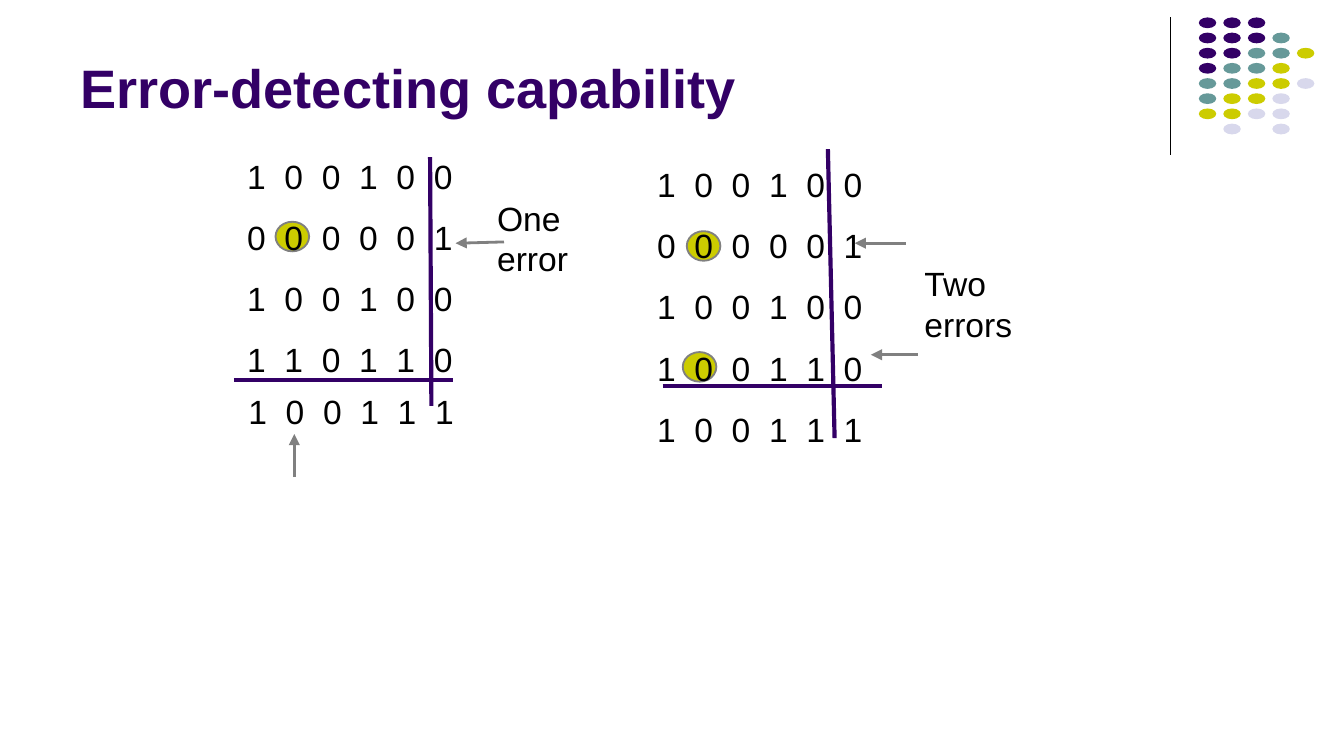
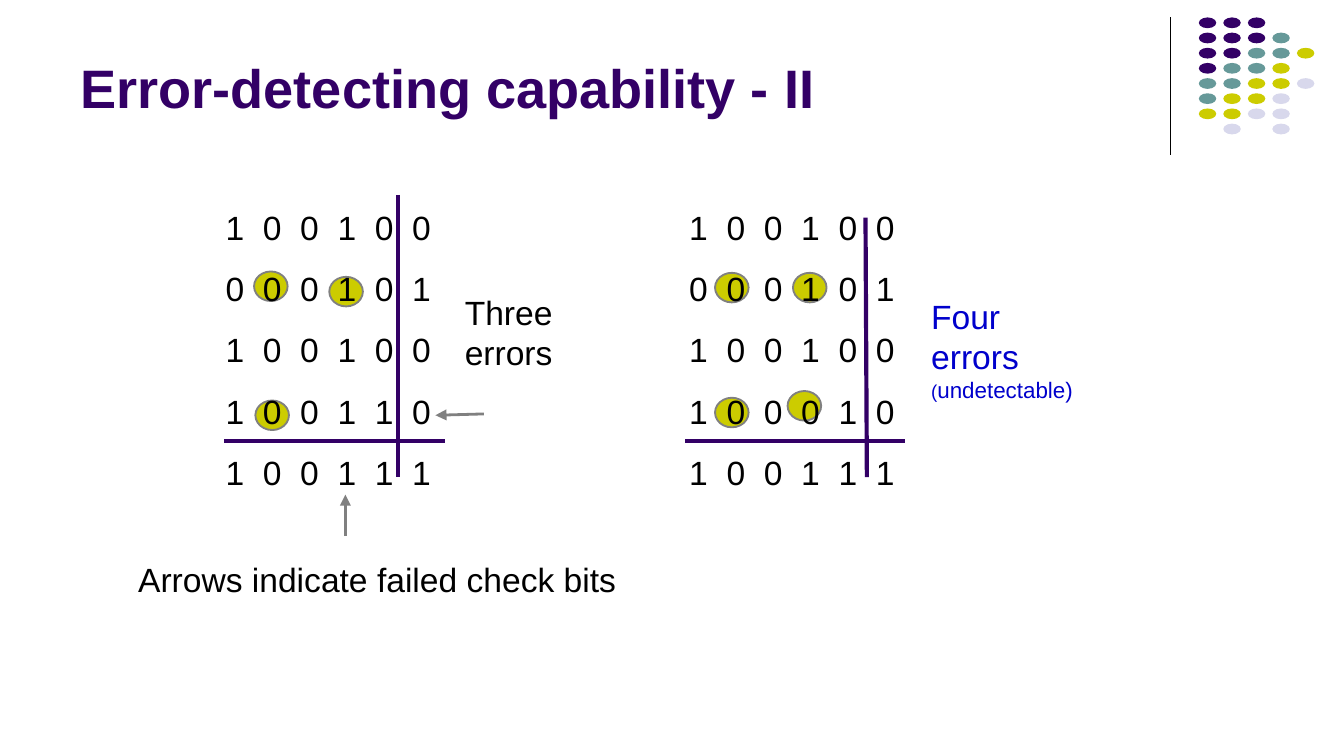
from dataclasses import dataclass

from pptx import Presentation
from pptx.dml.color import RGBColor
from pptx.enum.shapes import MSO_CONNECTOR, MSO_SHAPE
from pptx.enum.text import MSO_ANCHOR, MSO_AUTO_SIZE
from pptx.oxml.ns import qn
from pptx.oxml.xmlchemy import OxmlElement
from pptx.util import Inches, Pt

STRAIGHT = MSO_CONNECTOR.STRAIGHT
ELLIPSE = MSO_SHAPE.OVAL
BOTTOM = MSO_ANCHOR.BOTTOM
TOP = MSO_ANCHOR.TOP
FIT_TEXT = MSO_AUTO_SIZE.SHAPE_TO_FIT_TEXT
NO_FIT = MSO_AUTO_SIZE.NONE


@dataclass(frozen=True)
class Theme:
    font: str = "Arial"
    purple: str = "330066"
    teal: str = "669999"
    yellow: str = "CCCC00"
    lavender: str = "D8D8EC"
    gray: str = "808080"
    black: str = "000000"
    blue: str = "0000CC"
    title_size: float = 29
    body_size: float = 18
    note_size: float = 12
    bracket_size: float = 10
    row_gap: float = 11.2


THEME = Theme()
DOT_COLORS = {"P": THEME.purple, "T": THEME.teal, "Y": THEME.yellow, "L": THEME.lavender}
DOT_ROWS = ["PPP", "PPPT", "PPTTY", "PTTY", "TTYYL", "TYYL", "YYLL", " L L"]


def add_line(page, start, end, color, width, arrow=False):
    ends = [Inches(value) for value in (*start, *end)]
    connector = page.shapes.add_connector(STRAIGHT, *ends)
    connector.line.color.rgb = RGBColor.from_string(color)
    connector.line.width = Pt(width)
    properties = connector._element.spPr
    if arrow:
        head = OxmlElement("a:tailEnd")
        head.set("type", "triangle")
        properties.find(qn("a:ln")).append(head)
    properties.append(OxmlElement("a:effectLst"))


def add_arrow(page, start, end):
    add_line(page, start, end, THEME.gray, 1.5, arrow=True)


def add_ellipse(page, left, top, width, height, fill, outline=None):
    shape = page.shapes.add_shape(
        ELLIPSE, Inches(left), Inches(top), Inches(width), Inches(height))
    shape.shadow.inherit = False
    shape.fill.solid()
    shape.fill.fore_color.rgb = RGBColor.from_string(fill)
    if outline:
        shape.line.color.rgb = RGBColor.from_string(outline)
        shape.line.width = Pt(1)
    else:
        shape.line.fill.background()


def add_text(page, area, lines, color=THEME.black, size=THEME.body_size, bold=False,
             gap=0, wrap=True, anchor=TOP, fit=FIT_TEXT):
    box = page.shapes.add_textbox(*[Inches(value) for value in area])
    frame = box.text_frame
    frame.word_wrap = wrap
    frame.auto_size = fit
    frame.vertical_anchor = anchor
    for index, line in enumerate(lines):
        para = frame.paragraphs[0] if index == 0 else frame.add_paragraph()
        para.text = line
        para.space_before = Pt(gap)
        para.font.name = THEME.font
        para.font.size = Pt(size)
        para.font.bold = bold
        para.font.color.rgb = RGBColor.from_string(color)
    return frame


def add_bits(page, area, rows, wrap=True):
    lines = ["  ".join(row) for row in rows]
    add_text(page, area, lines, gap=THEME.row_gap, wrap=wrap)


def add_errors(page, corners):
    for left, top in corners:
        add_ellipse(page, left, top, 0.25, 0.22, THEME.yellow, THEME.gray)


def add_rules(page, column_rule, row_rule):
    for start, end in (column_rule, row_rule):
        add_line(page, start, end, THEME.purple, 2.25)


def add_dots(page):
    column_step = 0.73 / 4
    row_step = 0.79 / 7
    for row, letters in enumerate(DOT_ROWS):
        for column, letter in enumerate(letters):
            if letter in DOT_COLORS:
                add_ellipse(page, 8.92 + column * column_step, 0.13 + row * row_step,
                            0.13, 0.08, DOT_COLORS[letter])


def add_page(deck, title):
    page = deck.slides.add_slide(deck.slide_layouts[6])
    add_line(page, (8.71, 0.13), (8.71, 1.15), THEME.black, 0.75)
    add_dots(page)
    add_text(page, (0.5, 0.1, 8.25, 0.84), [title], THEME.purple, THEME.title_size,
             bold=True, anchor=BOTTOM, fit=NO_FIT)
    return page


def build_one_and_two_errors(deck):
    page = add_page(deck, "Error-detecting capability")

    add_errors(page, [(2.05, 1.65)])
    add_bits(page, (1.74, 1.11, 2.15, 2.23), ["100100", "000001", "100100", "110110"])
    add_bits(page, (1.75, 2.86, 1.93, 0.4), ["100111"], wrap=False)
    add_rules(page, ((3.2, 1.17), (3.21, 3.02)), ((1.74, 2.83), (3.37, 2.83)))
    add_arrow(page, (2.19, 3.55), (2.19, 3.23))
    add_arrow(page, (3.75, 1.8), (3.39, 1.81))
    add_text(page, (3.6, 1.42, 1.15, 0.7), ["One error"])

    add_errors(page, [(5.11, 1.72), (5.08, 2.62)])
    add_bits(page, (4.79, 1.17, 2.31, 2.23),
             ["100100", "000001", "100100", "100110", "100111"])
    add_rules(page, ((6.16, 1.11), (6.21, 3.26)), ((4.93, 2.87), (6.56, 2.87)))
    add_arrow(page, (6.74, 1.81), (6.36, 1.81))
    add_arrow(page, (6.83, 2.64), (6.48, 2.64))
    add_text(page, (6.78, 1.91, 1.22, 0.7), ["Two errors"])


def build_three_and_four_errors(deck):
    page = add_page(deck, "Error-detecting capability - II")

    add_errors(page, [(1.9, 2.98), (2.45, 2.06), (1.89, 2.02)])
    add_bits(page, (1.58, 1.49, 2.46, 2.23),
             ["100100", "000101", "100100", "100110", "100111"])
    add_rules(page, ((2.96, 1.45), (2.96, 3.55)), ((1.67, 3.28), (3.31, 3.28)))
    add_arrow(page, (2.57, 3.99), (2.57, 3.68))
    add_arrow(page, (3.6, 3.08), (3.24, 3.09))
    add_text(page, (3.36, 2.12, 1.32, 0.7), ["Three errors"])
    add_text(page, (0.93, 4.11, 3.8, 0.4), ["Arrows indicate failed check bits"], wrap=False)

    add_errors(page, [(5.86, 2.91), (5.32, 2.96), (5.9, 2.03), (5.32, 2.03)])
    add_bits(page, (5.03, 1.49, 1.83, 2.53),
             ["100100", "000101", "100100", "100010", "100111"])
    add_rules(page, ((6.44, 1.62), (6.45, 3.55)), ((5.1, 3.28), (6.73, 3.28)))
    label = add_text(page, (6.83, 2.15, 1.32, 0.9), ["Four errors "], THEME.blue)
    for text, size in (("(", THEME.bracket_size), ("undetectable)", THEME.note_size)):
        span = label.paragraphs[0].add_run()
        span.text = text
        span.font.size = Pt(size)


def main():
    deck = Presentation()
    deck.slide_width = Inches(10)
    deck.slide_height = deck.slide_width * 9 // 16
    build_one_and_two_errors(deck)
    build_three_and_four_errors(deck)
    deck.save("out.pptx")


if __name__ == "__main__":
    main()
